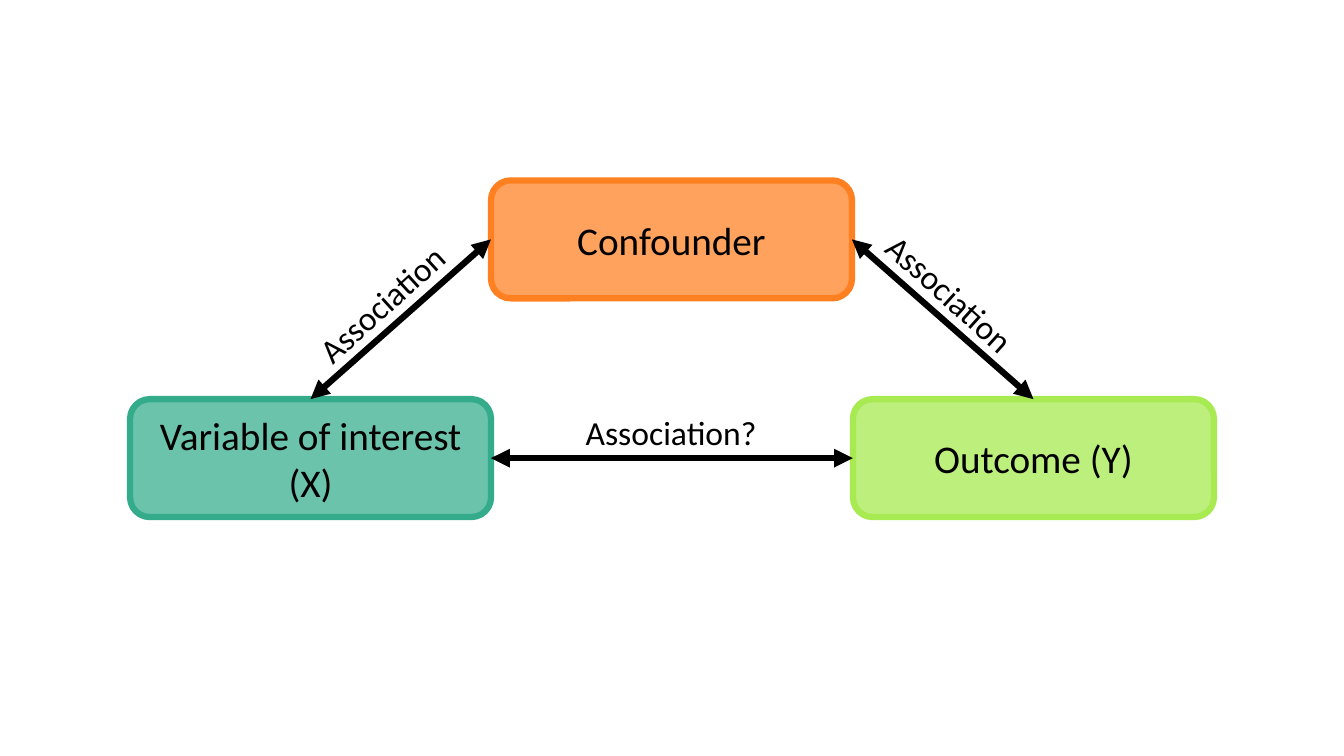
from dataclasses import dataclass

import pptx
import pptx.dml.color
import pptx.enum.shapes
import pptx.enum.text
import pptx.oxml.ns
import pptx.presentation
import pptx.shapes.autoshape
import pptx.slide
import pptx.util
from lxml import etree

COLORS = {
    "teal": "34AC8B",
    "green": "A7EA52",
    "orange": "FF8021",
    "black": "000000",
}
BOX_WIDTH, BOX_HEIGHT = 3.58, 1.17
LABEL_WIDTH, LABEL_HEIGHT = 1.92, 0.5
LINE_WIDTH = pptx.util.Pt(4.5)
CENTER = pptx.enum.text.PP_ALIGN.CENTER
LEFT = pptx.enum.text.PP_ALIGN.LEFT


@dataclass(frozen=True)
class Box:
    text: str
    left: float
    top: float
    color: str
    opacity: int


@dataclass(frozen=True)
class Arrow:
    start: tuple[float, float]
    end: tuple[float, float]


@dataclass(frozen=True)
class Label:
    text: str
    left: float
    top: float
    rotation: float = 0


VARIABLE = Box("Variable of interest (X)", 1.29, 3.96, "teal", 72)
OUTCOME = Box("Outcome (Y)", 8.46, 3.96, "green", 75)
CONFOUNDER = Box("Confounder", 4.87, 1.79, "orange", 73)


def anchor(box: Box, across: float, down: float) -> tuple[float, float]:
    return box.left + across * BOX_WIDTH, box.top + down * BOX_HEIGHT


ARROWS = [
    Arrow(anchor(VARIABLE, 1, 0.5), anchor(OUTCOME, 0, 0.5)),
    Arrow(anchor(VARIABLE, 0.5, 0), anchor(CONFOUNDER, 0, 0.5)),
    Arrow(anchor(OUTCOME, 0.5, 0), anchor(CONFOUNDER, 1, 0.5)),
]
LABELS = [
    Label("Association", 2.89, 2.7, 317.7),
    Label("Association", 8.53, 2.72, 42),
    Label("Association?", 5.71, 4.04),
]


def inches(*lengths: float) -> list[pptx.util.Length]:
    return [pptx.util.Inches(length) for length in lengths]


def rgb(name: str) -> pptx.dml.color.RGBColor:
    return pptx.dml.color.RGBColor.from_string(COLORS[name])


def write_text(shape: pptx.shapes.autoshape.Shape, text: str, size: int,
               alignment: pptx.enum.text.PP_ALIGN) -> None:
    shape.text_frame.word_wrap = True
    para = shape.text_frame.paragraphs[0]
    para.alignment = alignment
    span = para.add_run()
    span.text = text
    font_format = {"name": "Calibri", "size": pptx.util.Pt(size)}
    for attribute, value in font_format.items():
        setattr(span.font, attribute, value)
    span.font.color.rgb = rgb("black")


def draw_box(page: pptx.slide.Slide, box: Box) -> None:
    shape = page.shapes.add_shape(
        pptx.enum.shapes.MSO_SHAPE.ROUNDED_RECTANGLE,
        *inches(box.left, box.top, BOX_WIDTH, BOX_HEIGHT),
    )
    shape.shadow.inherit = False
    shape.fill.solid()
    shape.fill.fore_color.rgb = rgb(box.color)
    fill_color = shape.fill._xPr.find(".//" + pptx.oxml.ns.qn("a:srgbClr"))
    etree.SubElement(fill_color, pptx.oxml.ns.qn("a:alpha"), val=str(box.opacity * 1000))
    shape.line.color.rgb = rgb(box.color)
    shape.line.width = LINE_WIDTH
    shape.text_frame.vertical_anchor = pptx.enum.text.MSO_ANCHOR.MIDDLE
    write_text(shape, box.text, 28, CENTER)


def draw_arrow(page: pptx.slide.Slide, arrow: Arrow) -> None:
    connector = page.shapes.add_connector(
        pptx.enum.shapes.MSO_CONNECTOR.STRAIGHT, *inches(*arrow.start, *arrow.end)
    )
    connector.line.color.rgb = rgb("black")
    connector.line.width = LINE_WIDTH
    properties = connector._element.spPr
    outline = properties.find(pptx.oxml.ns.qn("a:ln"))
    for tip in ("a:headEnd", "a:tailEnd"):
        etree.SubElement(outline, pptx.oxml.ns.qn(tip), type="triangle")
    etree.SubElement(properties, pptx.oxml.ns.qn("a:effectLst"))


def draw_label(page: pptx.slide.Slide, label: Label) -> None:
    shape = page.shapes.add_textbox(
        *inches(label.left, label.top, LABEL_WIDTH, LABEL_HEIGHT)
    )
    shape.rotation = label.rotation
    shape.text_frame.auto_size = pptx.enum.text.MSO_AUTO_SIZE.SHAPE_TO_FIT_TEXT
    write_text(shape, label.text, 24, LEFT)


def main() -> None:
    deck = pptx.Presentation()
    deck.slide_width, deck.slide_height = inches(13.33, 7.5)
    page = deck.slides.add_slide(deck.slide_layouts[6])
    for box in (VARIABLE, OUTCOME, CONFOUNDER):
        draw_box(page, box)
    for arrow in ARROWS:
        draw_arrow(page, arrow)
    for label in LABELS:
        draw_label(page, label)
    deck.save("out.pptx")


if __name__ == "__main__":
    main()
